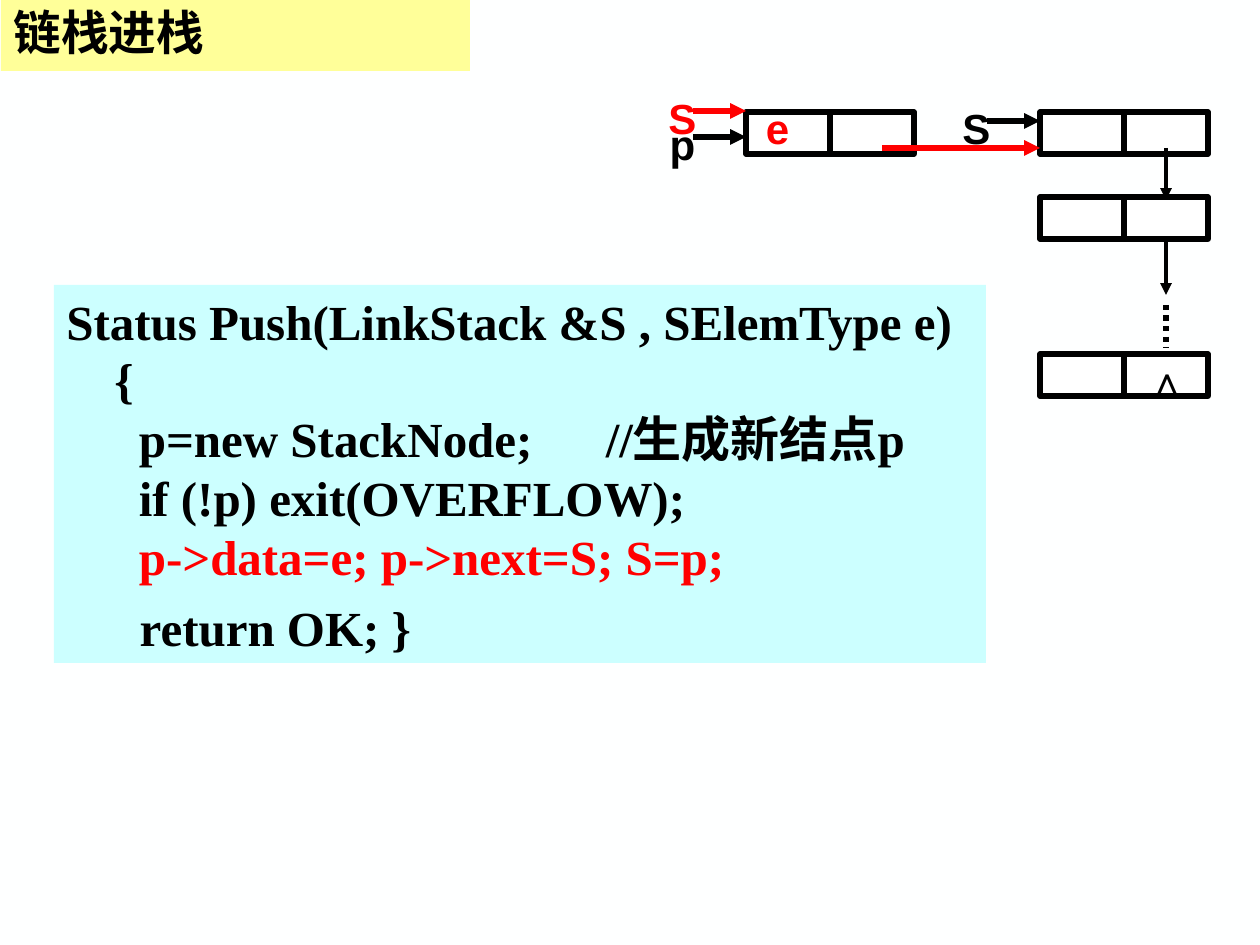
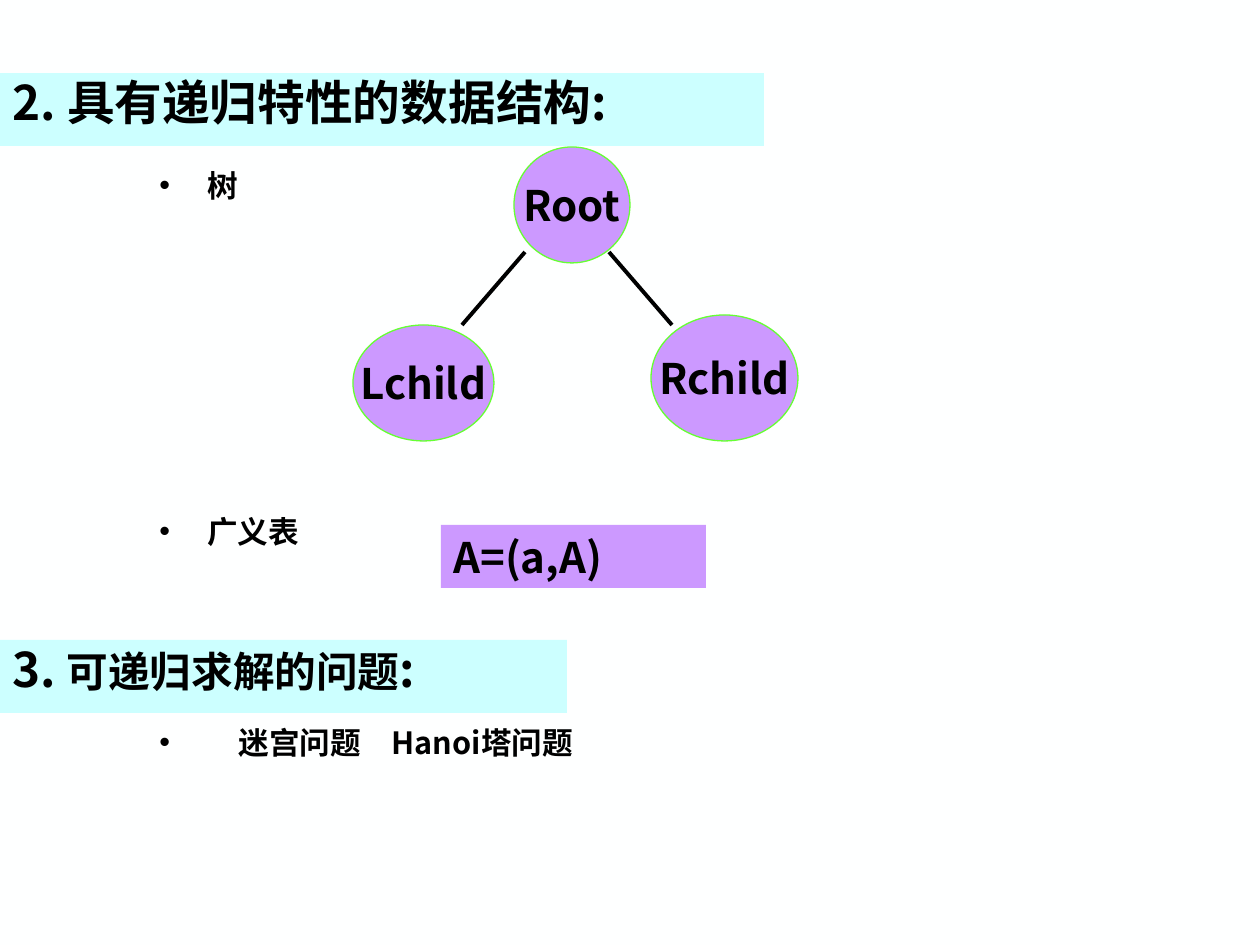
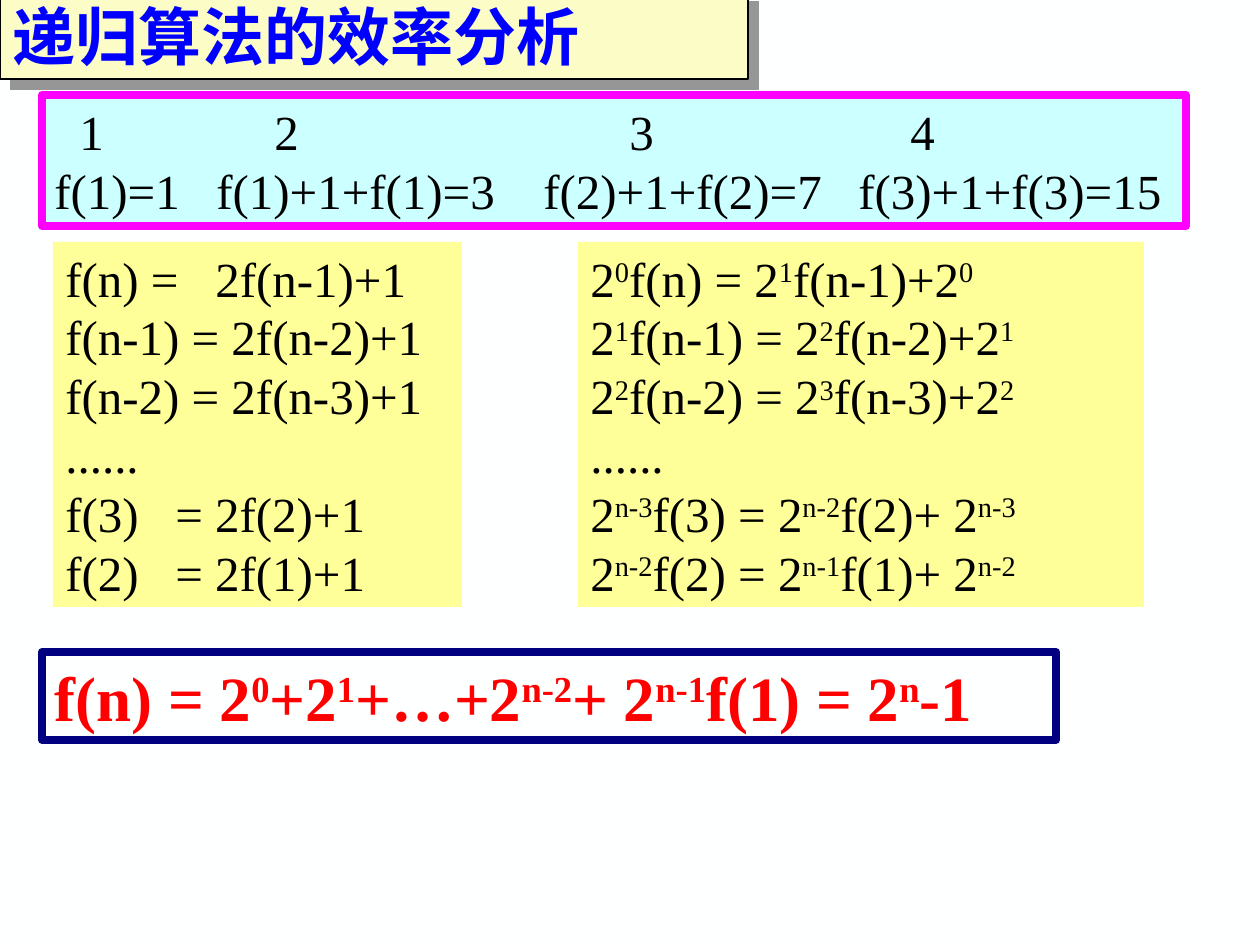
import pptx
import pptx.util
import pptx.dml.color
import pptx.enum.dml
import pptx.enum.shapes
import pptx.enum.text
import pptx.oxml
import pptx.oxml.ns
from dataclasses import dataclass, replace
from lxml import etree

RGBColor = pptx.dml.color.RGBColor
Shape = pptx.enum.shapes.MSO_SHAPE
Align = pptx.enum.text.PP_ALIGN
Anchor = pptx.enum.text.MSO_ANCHOR
qn = pptx.oxml.ns.qn

# Shared look
BLACK = RGBColor(0x00, 0x00, 0x00)
WHITE = RGBColor(0xFF, 0xFF, 0xFF)
RED = RGBColor(0xFF, 0x00, 0x00)
BLUE = RGBColor(0x00, 0x00, 0xFF)
NAVY = RGBColor(0x00, 0x00, 0x80)
MAGENTA = RGBColor(0xFF, 0x00, 0xFF)
GREEN = RGBColor(0x66, 0xFF, 0x33)
YELLOW = RGBColor(0xFF, 0xFF, 0x99)
CREAM = RGBColor(0xFC, 0xFD, 0xC6)
CYAN = RGBColor(0xCC, 0xFF, 0xFF)
PURPLE = RGBColor(0xCC, 0x99, 0xFF)
GREY = RGBColor(0x96, 0x96, 0x96)
PAPER = RGBColor(0xFE, 0xFF, 0xFF)

SANS, SERIF, CJK = "Arial", "Times New Roman", "Noto Sans CJK SC"
PX_PER_INCH = 126


@dataclass
class Style:
    font: str
    size: float
    color: RGBColor = BLACK
    bold: bool = True


HEADING = Style(CJK, 27.2)
LABEL = Style(SANS, 24)
CODE = Style(SERIF, 28)
FORMULA = Style(SERIF, 28, bold=False)
RESULT = Style(SERIF, 36, RED)
EFFICIENCY_TITLE = Style(SANS, 36, BLUE)
ITEM = Style(CJK, 17.5)
TREE = Style(CJK, 24)

# Slide 1: pushing onto a linked stack
PUSH_TITLE = "链栈进栈"
NODE_SIZE = (168, 42)
NODES = [(746, 112), (1040, 112), (1040, 197), (1040, 354)]
POINTERS = [  # start, end, colour, width
    ((693, 137), (746, 137), BLACK, 3),
    ((1166, 148), (1166, 200), BLACK, 2.25),
    ((1166, 242), (1166, 295), BLACK, 2.25),
    ((987, 121), (1040, 121), BLACK, 3),
    ((882, 148), (1040, 148), RED, 3),
    ((693, 111), (746, 111), RED, 3),
]
ELLIPSIS = ((1166, 305), (1166, 348))
NODE_LABELS = [
    ("p", 651, 112, BLACK), ("∧", 1134, 348, BLACK), ("S", 945, 96, BLACK),
    ("e", 746, 96, RED), ("S", 651, 86, RED),
]
CODE_INDENT = 48
PUSH_CODE = [  # line, left margin, colour
    ("Status Push(LinkStack &S , SElemType e)", 0, BLACK),
    ("{", CODE_INDENT, BLACK),
    ("  p=new StackNode;      //生成新结点p", CODE_INDENT, BLACK),
    ("  if (!p) exit(OVERFLOW);", CODE_INDENT, BLACK),
    ("  p->data=e; p->next=S; S=p;", CODE_INDENT, RED),
    ("      return OK; }", 0, BLACK),
]

# Slide 2: recursive structures and problems ("^" switches the marked runs)
STRUCTURES_TITLE = "2. 具有递归特性的数据结构:"
PROBLEMS_HEADING = "3. ^可递归求解的问题^:"
ITEMS = [  # text, top, width, text indent
    ("树", 168, 378, 48),
    ("广义表", 514, 378, 48),
    ("迷宫问题　Hanoi塔问题", 725, 979, 79),
]
TREE_NODES = [
    ("Root", (514, 147, 116, 116)),
    ("Lchild", (353, 325, 141, 116)),
    ("Rchild", (651, 315, 147, 126)),
]
BRANCHES = [((525, 252), (462, 325)), ((609, 252), (672, 325))]
LIST_EXAMPLE = "A=(a,A)"

# Slide 3: efficiency of recursion (tab stops follow each line)
EFFICIENCY_TITLE_TEXT = "递归算法的效率分析"
MOVES = [
    ("\t1\t2\t3\t4", (25, 220, 575, 856)),
    ("f(1)=1\tf(1)+1+f(1)=3\tf(2)+1+f(2)=7\tf(3)+1+f(3)=15", (162, 489, 804)),
]
RECURRENCE = [
    ("f(n) =\t2f(n-1)+1", (150,)),
    ("f(n-1) = 2f(n-2)+1", ()),
    ("f(n-2) = 2f(n-3)+1", ()),
    ("......", ()),
    ("f(3)\t= 2f(2)+1", (110,)),
    ("f(2)\t= 2f(1)+1", (110,)),
]
SCALED = [
    ("2^0^f(n) = 2^1^f(n-1)+2^0", ()),
    ("2^1^f(n-1) = 2^2^f(n-2)+2^1", ()),
    ("2^2^f(n-2) = 2^3^f(n-3)+2^2", ()),
    ("......", ()),
    ("2^n-3^f(3) = 2^n-2^f(2)+ 2^n-3", ()),
    ("2^n-2^f(2) = 2^n-1^f(1)+ 2^n-2", ()),
]
CLOSED_FORM = [("f(n) = 2^0^+2^1^+…+2^n-2^+ 2^n-1^f(1) = 2^n^-1", ())]


def px(length):
    return round(length * pptx.util.Inches(1) / PX_PER_INCH)


# Text
def superscript(run):
    run.font._element.set("baseline", "30000")


def smaller(run):
    run.font.size = pptx.util.Pt(23.8)


def write(paragraph, text, style, mark=superscript):
    """Fill a paragraph; every second part between "^" signs is marked."""
    for index, part in enumerate(text.split("^")):
        run = paragraph.add_run()
        run.text = part
        run.font.size = pptx.util.Pt(style.size)
        run.font.bold = style.bold
        run.font.name = style.font
        run.font.color.rgb = style.color
        east_asian = etree.SubElement(run.font._element, qn("a:ea"))
        east_asian.set("typeface", CJK)
        if index % 2:
            mark(run)


def indent(paragraph, left, first=0):
    properties = paragraph._p.get_or_add_pPr()
    properties.set("marL", str(px(left)))
    properties.set("indent", str(px(first)))
    return properties


def set_tabs(paragraph, stops):
    if stops:
        tabs = etree.SubElement(paragraph._p.get_or_add_pPr(), qn("a:tabLst"))
        for stop in stops:
            etree.SubElement(tabs, qn("a:tab"), pos=str(px(stop)), algn="l")


def paragraphs(frame, count):
    return [frame.paragraphs[0]] + [frame.add_paragraph() for _ in range(count - 1)]


def prepare(shape, anchor=Anchor.TOP, wrap=True):
    frame = shape.text_frame
    frame.auto_size = pptx.enum.text.MSO_AUTO_SIZE.NONE
    frame.word_wrap = wrap
    frame.vertical_anchor = anchor
    return frame


# Shapes
def paint(shape, fill=None, line=None, width=0.75):
    if fill is None:
        shape.fill.background()
    else:
        shape.fill.solid()
        shape.fill.fore_color.rgb = fill
    if line is None:
        shape.line.fill.background()
    else:
        shape.line.color.rgb = line
        shape.line.width = pptx.util.Pt(width)


def add_panel(slide, box, fill=None, line=None, width=0.75, kind=Shape.RECTANGLE):
    panel = slide.shapes.add_shape(kind, *map(px, box))
    panel.shadow.inherit = False
    paint(panel, fill, line, width)
    return panel


def add_line(slide, start, end, color=BLACK, width=3.0, arrow=False):
    line = slide.shapes.add_connector(
        pptx.enum.shapes.MSO_CONNECTOR.STRAIGHT, *map(px, start + end))
    line.line.color.rgb = color
    line.line.width = pptx.util.Pt(width)
    if arrow:
        etree.SubElement(line.line._get_or_add_ln(), qn("a:tailEnd"), type="triangle")
    etree.SubElement(line._element.spPr, qn("a:effectLst"))
    return line


def heading(shape, text, style=HEADING, anchor=Anchor.TOP, spacing=0.9):
    paragraph = prepare(shape, anchor).paragraphs[0]
    paragraph.alignment = Align.LEFT
    paragraph.line_spacing = spacing
    write(paragraph, text, style, smaller)


def add_titled_slide(deck, text, box, fill, line=None, **look):
    slide = deck.slides.add_slide(deck.slide_layouts[5])
    title = slide.shapes.title
    title.left, title.top, title.width, title.height = map(px, box)
    paint(title, fill, line)
    heading(title, text, **look)
    return slide


def add_formulas(slide, box, lines, style=FORMULA, **look):
    frame = prepare(add_panel(slide, box, **look))
    for paragraph, (text, stops) in zip(paragraphs(frame, len(lines)), lines):
        paragraph.alignment = Align.LEFT
        set_tabs(paragraph, stops)
        write(paragraph, text, style)


def build_push(deck):
    slide = add_titled_slide(deck, PUSH_TITLE, (1, 0, 469, 71), YELLOW,
                             anchor=Anchor.MIDDLE)
    # Stack nodes, each split into data and next
    for left, top in NODES:
        node = add_panel(slide, (left, top) + NODE_SIZE, WHITE, BLACK, 3)
        middle = left + NODE_SIZE[0] // 2
        divider = add_line(slide, (middle, top), (middle, top + NODE_SIZE[1]))
        divider.begin_connect(node, 0)
        divider.end_connect(node, 2)
    for start, end, color, width in POINTERS:
        add_line(slide, start, end, color, width, arrow=True)
    dots = add_line(slide, *ELLIPSIS)
    dots.line.dash_style = pptx.enum.dml.MSO_LINE.ROUND_DOT
    for text, left, top, color in NODE_LABELS:
        label = slide.shapes.add_textbox(*map(px, (left, top, 63, 63)))
        paragraph = prepare(label).paragraphs[0]
        paragraph.alignment = Align.CENTER
        write(paragraph, text, replace(LABEL, color=color))
    # Code
    frame = prepare(add_panel(slide, (54, 285, 932, 378), CYAN))
    lines = paragraphs(frame, len(PUSH_CODE))
    for paragraph, (text, left, color) in zip(lines, PUSH_CODE):
        paragraph.alignment = Align.LEFT
        indent(paragraph, left)
        write(paragraph, text, replace(CODE, color=color))
    lines[-1].space_before = pptx.util.Pt(7)


def build_structures(deck):
    slide = add_titled_slide(deck, STRUCTURES_TITLE, (0, 73, 764, 73), CYAN)
    heading(add_panel(slide, (0, 640, 567, 73), CYAN), PROBLEMS_HEADING)
    # Bulleted items
    for text, top, width, left in ITEMS:
        item = slide.shapes.add_textbox(*map(px, (147, top, width, 105)))
        paragraph = prepare(item).paragraphs[0]
        paragraph.line_spacing = 0.8
        properties = indent(paragraph, left, -left)
        etree.SubElement(properties, qn("a:buFont"), typeface=SANS)
        etree.SubElement(properties, qn("a:buChar"), char="•")
        write(paragraph, text, ITEM)
    # Tree
    for text, box in TREE_NODES:
        node = add_panel(slide, box, PURPLE, GREEN, kind=Shape.OVAL)
        paragraph = prepare(node, Anchor.MIDDLE, wrap=False).paragraphs[0]
        paragraph.alignment = Align.CENTER
        write(paragraph, text, TREE)
    for start, end in BRANCHES:
        add_line(slide, start, end, width=2.25)
    # Generalised list
    add_formulas(slide, (441, 525, 265, 63), [(LIST_EXAMPLE, ())], TREE, fill=PURPLE)


def build_efficiency(deck):
    slide = add_titled_slide(deck, EFFICIENCY_TITLE_TEXT, (0, -9, 748, 88), CREAM,
                             BLACK, style=EFFICIENCY_TITLE, spacing=1.0)
    # Hard shadow behind the title band
    effects = etree.SubElement(slide.shapes.title._element.spPr, qn("a:effectLst"))
    shadow = etree.SubElement(effects, qn("a:outerShdw"), algn="ctr", rotWithShape="0",
                              dist=str(pptx.util.Pt(8.5)), dir=str(45 * 60000))
    etree.SubElement(shadow, qn("a:srgbClr"), val=str(GREY))

    add_formulas(slide, (42, 95, 1144, 131), MOVES, fill=CYAN, line=MAGENTA, width=4.5)
    add_formulas(slide, (53, 242, 409, 365), RECURRENCE, fill=YELLOW)
    add_formulas(slide, (578, 242, 566, 365), SCALED, fill=YELLOW)
    add_formulas(slide, (42, 652, 1014, 88), CLOSED_FORM, RESULT, line=NAVY, width=4.5)


def main():
    deck = pptx.Presentation()
    deck.slide_width = px(10 * PX_PER_INCH)
    deck.slide_height = px(7.5 * PX_PER_INCH)
    background = deck.slide_master.background.fill
    background.solid()
    background.fore_color.rgb = PAPER
    for build in (build_push, build_structures, build_efficiency):
        build(deck)
    deck.save("out.pptx")


if __name__ == "__main__":
    main()
